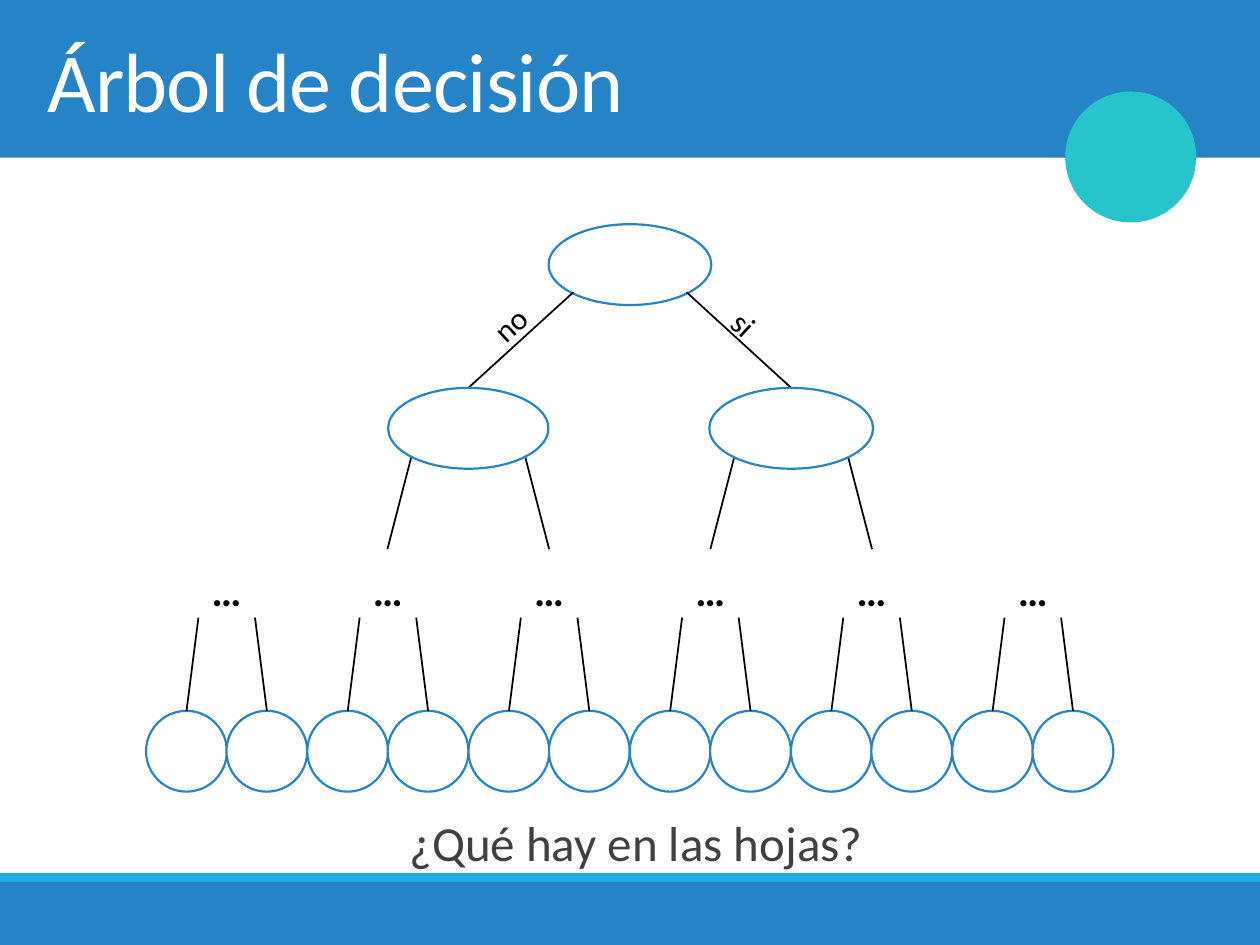
"""Build a slide showing a binary decision tree and its leaves."""
import pptx
import pptx.dml.color
import pptx.enum.shapes
import pptx.enum.text
import pptx.oxml
import pptx.util
from pptx.util import Cm

COLORS = {
    "blue": "2683C6", "sky": "1CADE4", "teal": "28C4CC",
    "white": "FFFFFF", "black": "000000", "gray": "404040",
}
RGB = {name: pptx.dml.color.RGBColor.from_string(code) for name, code in COLORS.items()}
SHAPE = pptx.enum.shapes.MSO_SHAPE
ALIGN = pptx.enum.text.PP_ALIGN
ANCHOR = pptx.enum.text.MSO_ANCHOR

deck = pptx.Presentation()
deck.slide_width, deck.slide_height = Cm(25.4), Cm(19.05)
page = deck.slides.add_slide(deck.slide_layouts[6])


def draw_shape(kind, left, top, width, height, fill, outline=None, weight=1.25):
    shape = page.shapes.add_shape(kind, Cm(left), Cm(top), Cm(width), Cm(height))
    shape.shadow.inherit = False
    shape.fill.solid()
    shape.fill.fore_color.rgb = RGB[fill]
    if outline:
        shape.line.color.rgb = RGB[outline]
        shape.line.width = pptx.util.Pt(weight)
    else:
        shape.line.fill.background()
    return shape


def draw_branch(x1, y1, x2, y2):
    branch = page.shapes.add_connector(
        pptx.enum.shapes.MSO_CONNECTOR.STRAIGHT, Cm(x1), Cm(y1), Cm(x2), Cm(y2))
    branch.line.color.rgb = RGB["black"]
    branch.line.width = pptx.util.Pt(1)
    properties = branch._element.spPr
    properties.append(properties.makeelement(pptx.oxml.ns.qn("a:effectLst"), {}))


draw_shape(SHAPE.RECTANGLE, 0, 0, 25.4, 3.18, "blue")
draw_shape(SHAPE.RECTANGLE, 0, 17.78, 25.4, 1.27, "blue")
draw_shape(SHAPE.RECTANGLE, 0, 17.6, 25.4, 0.18, "sky")
draw_shape(SHAPE.OVAL, 21.51, 1.88, 2.57, 2.57, "teal", "teal", 2)

node_height = 1.63
root_x, root_top = 12.7, 4.52
child_top, dots_top, leaf_top = 7.82, 11.07, 14.33
children = [(-1, 9.44, 3.23), (1, 15.95, 3.3)]

first_dots_x, dots_pitch = 4.57, 3.25
for index in range(6):
    dots_x = first_dots_x + index * dots_pitch
    dots = draw_shape(SHAPE.OVAL, dots_x - node_height / 2, dots_top,
                      node_height, node_height, "white")
    frame = dots.text_frame
    frame.word_wrap = False
    frame.vertical_anchor = ANCHOR.MIDDLE
    para = frame.paragraphs[0]
    para.text = "…"
    para.alignment = ALIGN.CENTER
    para.font.name = "Calibri"
    para.font.size = pptx.util.Pt(24)
    para.font.bold = True
    para.font.color.rgb = RGB["black"]
    for side in (-1, 1):
        leaf_x = dots_x + side * 0.81
        draw_shape(SHAPE.OVAL, leaf_x - node_height / 2, leaf_top,
                   node_height, node_height, "white", "blue")
        draw_branch(dots_x + side * 0.57, 12.45, leaf_x, leaf_top)

draw_shape(SHAPE.OVAL, root_x - 1.64, root_top, 3.28, node_height, "white", "blue")
for side, child_x, width in children:
    draw_branch(root_x + side * 1.14, 5.89, child_x, child_top)
    for edge in (-1, 1):
        draw_branch(child_x + edge * 1.15, 9.22, child_x + edge * 1.63, dots_top)
    draw_shape(SHAPE.OVAL, child_x - width / 2, child_top,
               width, node_height, "white", "blue")

texts = [
    ("Árbol de decisión", 0.71, 0, 24, 3.18, 0, 48, "white", ALIGN.LEFT, ANCHOR.MIDDLE),
    ("¿Qué hay en las hojas?", 0.69, 15.67, 24, 3.18, 0, 28, "gray", ALIGN.CENTER, ANCHOR.TOP),
    ("si", 14.48, 6.22, 1.47, 1.02, 42.5, 18, "black", ALIGN.LEFT, ANCHOR.TOP),
    ("no", 9.65, 5.92, 1.47, 1.02, 316.9, 18, "black", ALIGN.LEFT, ANCHOR.TOP),
]
for wording, left, top, width, height, angle, size, color, align, anchor in texts:
    box = page.shapes.add_textbox(Cm(left), Cm(top), Cm(width), Cm(height))
    box.rotation = angle
    frame = box.text_frame
    frame.word_wrap = True
    frame.vertical_anchor = anchor
    para = frame.paragraphs[0]
    span = para.add_run()
    span.text = wording
    para.alignment = align
    para.font.name = "Calibri"
    para.font.size = pptx.util.Pt(size)
    para.font.color.rgb = RGB[color]
    if size == 48:
        span.font._element.set("spc", "-50")
    elif size == 28:
        para.line_spacing = 1.5
        frame.margin_left = Cm(0.51)
    else:
        frame.auto_size = pptx.enum.text.MSO_AUTO_SIZE.SHAPE_TO_FIT_TEXT

deck.save("out.pptx")
